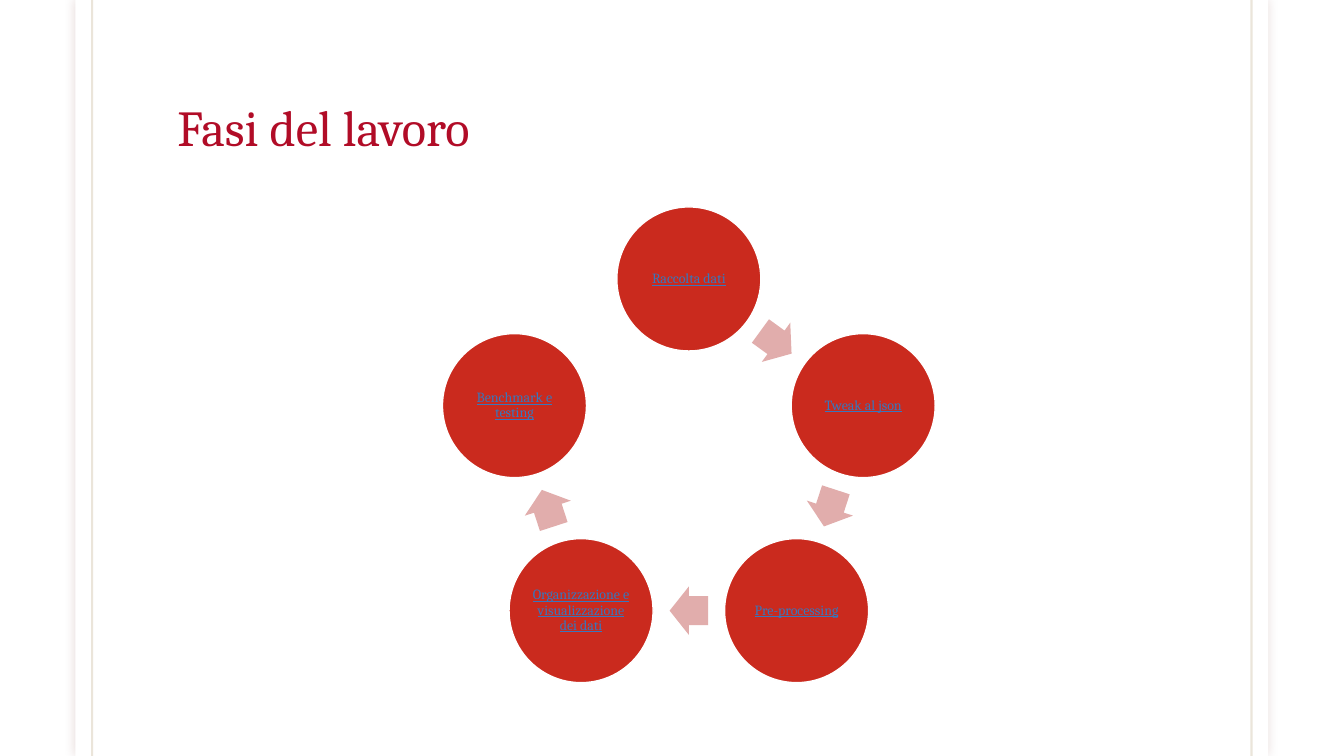
from math import cos, pi, sin

from lxml.etree import SubElement
from pptx import Presentation
from pptx.dml.color import RGBColor
from pptx.enum.shapes import MSO_CONNECTOR, MSO_SHAPE
from pptx.enum.text import MSO_ANCHOR, PP_ALIGN
from pptx.oxml.ns import qn
from pptx.util import Cm, Pt

WHITE = RGBColor(0xFF, 0xFF, 0xFF)
TITLE_RED = RGBColor(0xB1, 0x0C, 0x27)
CIRCLE_RED = RGBColor(0xCA, 0x2A, 0x1E)
ARROW_PINK = RGBColor(0xE1, 0xAD, 0xAC)
LABEL_BLUE = RGBColor(0x37, 0x77, 0xBD)
RULE_BROWN = RGBColor(0x79, 0x54, 0x0B)
SHADOW_BROWN = RGBColor(0x65, 0x15, 0x0F)

STRAIGHT = MSO_CONNECTOR.STRAIGHT
RECTANGLE = MSO_SHAPE.RECTANGLE
OVAL = MSO_SHAPE.OVAL
RIGHT_ARROW = MSO_SHAPE.RIGHT_ARROW
CENTER = PP_ALIGN.CENTER
MIDDLE = MSO_ANCHOR.MIDDLE
BOTTOM = MSO_ANCHOR.BOTTOM

FONT = "Cambria"
SLIDE_WIDTH, SLIDE_HEIGHT = 33.87, 19.05
ALPHA_15_PERCENT = "15000"
PHASES = [
    "Raccolta dati",
    "Tweak al json",
    "Pre-processing",
    "Organizzazione e visualizzazione dei dati",
    "Benchmark e testing",
]


def add_centered_shape(slide, preset, x, y, width, height, fill):
    shape = slide.shapes.add_shape(
        preset, Cm(x - width / 2), Cm(y - height / 2), Cm(width), Cm(height))
    shape.shadow.inherit = False
    shape.fill.solid()
    shape.fill.fore_color.rgb = fill
    shape.line.fill.background()
    return shape


def format_paragraph(paragraph, size, color, line_spacing):
    paragraph.line_spacing = line_spacing
    for run in paragraph.runs:
        run.font.name = FONT
        run.font.size = Pt(size)
        run.font.color.rgb = color


def add_page_frame(slide, left, top, width, height):
    """Draw the white page with its soft shadow and two vertical rules."""
    page = add_centered_shape(
        slide, RECTANGLE, left + width / 2, top + height / 2, width, height, WHITE)
    effects = page._element.spPr.find(qn("a:effectLst"))
    shadow = SubElement(effects, qn("a:outerShdw"), blurRad=str(Pt(7)), dist="0", dir="0")
    color = SubElement(shadow, qn("a:srgbClr"), val=str(SHADOW_BROWN))
    SubElement(color, qn("a:alpha"), val=ALPHA_15_PERCENT)

    margin = 0.42
    for x in (left + margin, left + width - margin):
        rule = slide.shapes.add_connector(
            STRAIGHT, Cm(x), Cm(top), Cm(x), Cm(top + height))
        rule.line.width = Pt(1.5)
        rule.line.color.rgb = RULE_BROWN
        properties = rule._element.spPr
        rule_color = next(properties.iter(qn("a:srgbClr")))
        SubElement(rule_color, qn("a:alpha"), val=ALPHA_15_PERCENT)
        SubElement(properties, qn("a:effectLst"))


def add_title(slide, left, top, width, height):
    box = slide.shapes.add_textbox(Cm(left), Cm(top), Cm(width), Cm(height))
    frame = box.text_frame
    frame.word_wrap = True
    frame.vertical_anchor = BOTTOM
    frame.text = "Fasi del lavoro"
    format_paragraph(frame.paragraphs[0], 36, TITLE_RED, 0.85)


def add_phase_circle(slide, x, y, diameter, label):
    circle = add_centered_shape(slide, OVAL, x, y, diameter, diameter, CIRCLE_RED)
    circle.line.color.rgb = WHITE
    circle.line.width = Pt(1)
    frame = circle.text_frame
    frame.word_wrap = True
    frame.vertical_anchor = MIDDLE
    frame.margin_left = frame.margin_right = Cm(0.03)
    frame.margin_top = frame.margin_bottom = Cm(0.03)
    frame.text = label
    paragraph = frame.paragraphs[0]
    paragraph.alignment = CENTER
    format_paragraph(paragraph, 10, LABEL_BLUE, 0.9)
    paragraph.runs[0].font.underline = True


def add_phase_cycle(slide, center_x, center_y, radius, diameter):
    """Place the phases clockwise from the top, with an arrow to each next one."""
    step = 2 * pi / len(PHASES)
    arrow_radius = radius * cos(step / 2)
    for index, label in enumerate(PHASES):
        angle = index * step
        add_phase_circle(
            slide, center_x + radius * sin(angle), center_y - radius * cos(angle),
            diameter, label)
        if index == len(PHASES) - 1:
            continue
        middle = angle + step / 2
        arrow = add_centered_shape(
            slide, RIGHT_ARROW, center_x + arrow_radius * sin(middle),
            center_y - arrow_radius * cos(middle), 0.97, 1.22, ARROW_PINK)
        arrow.adjustments[0] = 0.6
        arrow.adjustments[1] = 0.5
        arrow.rotation = 360 * (index + 0.5) / len(PHASES)


def main():
    presentation = Presentation()
    presentation.slide_width = Cm(SLIDE_WIDTH)
    presentation.slide_height = Cm(SLIDE_HEIGHT)
    slide = presentation.slides.add_slide(presentation.slide_layouts[6])
    add_page_frame(slide, 1.9, 0, 30.06, SLIDE_HEIGHT)
    add_title(slide, 4.22, 0.89, 25.4, 3.18)
    add_phase_cycle(slide, 17.36, 11.65, 4.62, 3.63)
    presentation.save("out.pptx")


if __name__ == "__main__":
    main()
